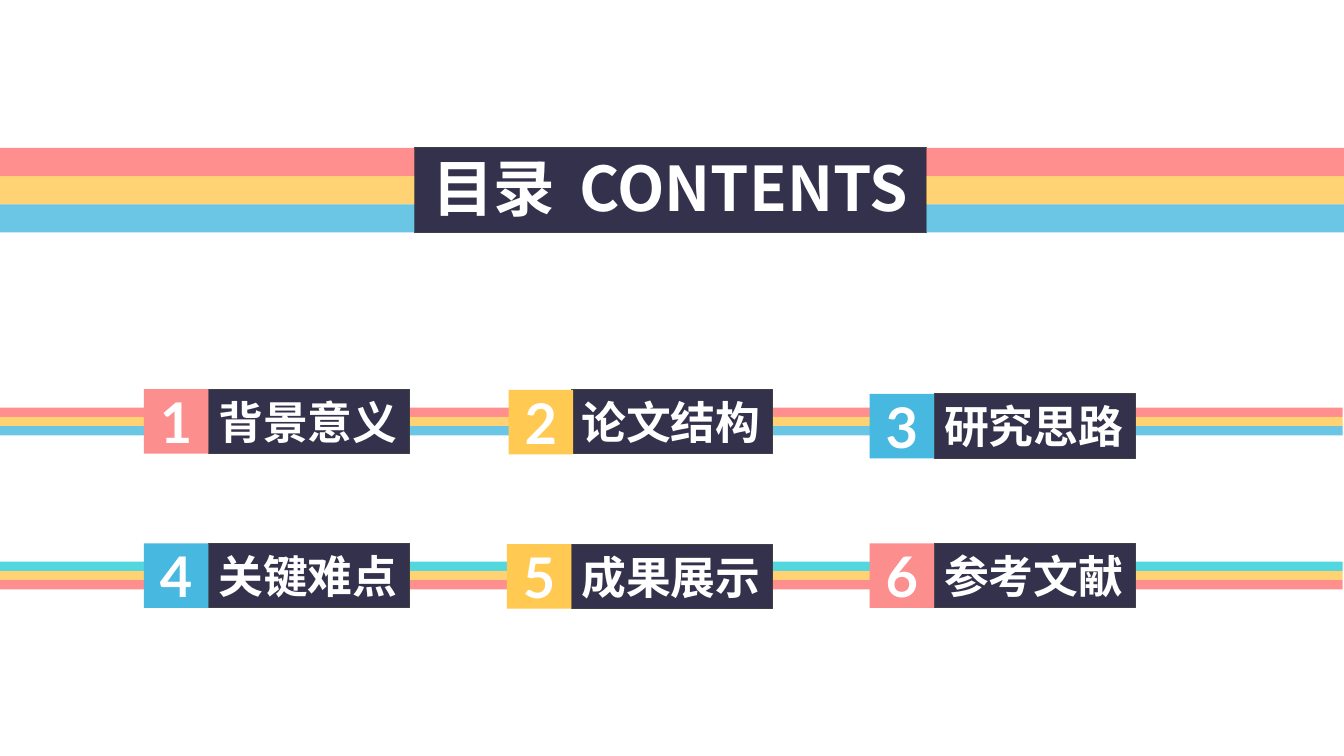
from lxml.etree import SubElement
from pptx import Presentation
from pptx.dml.color import RGBColor
from pptx.enum.shapes import MSO_SHAPE
from pptx.enum.text import MSO_ANCHOR, MSO_AUTO_SIZE, PP_ALIGN
from pptx.oxml.ns import qn
from pptx.util import Pt

RED, YELLOW, BLUE, TEAL = "FF7473", "FFC952", "47B8E0", "27CED7"
PINK, NAVY, GREY, WHITE = "FC8E8E", "34314C", "404040", "FFFFFF"
CHINESE = {"name": "Noto Sans CJK SC", "bold": True}
TITLE = {**CHINESE, "size": Pt(44)}
LABEL = {**CHINESE, "size": Pt(32)}
NUMBER = {"name": "Lato", "bold": True, "size": Pt(40)}
TITLE_BOX = (296, 105.6, 365.8, 60.5)
SIDE = 46.1
LABEL_WIDTH = 143.7
COLUMN_STEP = 259.2

ROWS = [
    (278, [("1", "背景意义", PINK, 0, 0, 0),
           ("2", "论文结构", YELLOW, 1.4, 0.6, 0),
           ("3", "研究思路", BLUE, 0, 3.3, 3.3)]),
    (388.1, [("4", "关键难点", BLUE, 0, 0, 0),
             ("5", "成果展示", YELLOW, 0, 0.6, 0.6),
             ("6", "参考文献", PINK, 0, 0, 0)]),
]


def colour(value):
    return RGBColor.from_string(value)


def set_all(target, values):
    for name, value in values.items():
        setattr(target, name, value)


def paint(shape, fill, line=None):
    shape.fill.solid()
    shape.fill.fore_color.rgb = colour(fill)
    if line:
        shape.line.color.rgb = colour(line)
        shape.line.width = Pt(0.75)
    else:
        shape.line.fill.background()


def add_rectangle(shapes, box, fill, line=None):
    shape = shapes.add_shape(MSO_SHAPE.RECTANGLE, *map(Pt, box))
    shape.shadow.inherit = False
    paint(shape, fill, line)
    return shape


def write(shape, texts, style, alignment):
    frame = shape.text_frame
    set_all(frame, {"word_wrap": False, "auto_size": MSO_AUTO_SIZE.NONE,
                    "vertical_anchor": MSO_ANCHOR.MIDDLE})
    para = frame.paragraphs[0]
    para.alignment = alignment
    for text in texts:
        span = para.add_run()
        span.text = text
        set_all(span.font, style)
        span.font.color.rgb = colour(WHITE)
        if style["name"] == CHINESE["name"]:
            SubElement(span.font._element, qn("a:ea"), typeface=style["name"])
    return para


def add_stripes(page, box, fills):
    left, top, width, height = box
    thickness = height / len(fills)
    group = page.shapes.add_group_shape()
    for index, fill in enumerate(fills):
        stripe_box = (left, top + index * thickness, width, thickness)
        stripe = add_rectangle(group.shapes, stripe_box, fill)
        tint = stripe.fill._xPr.find(".//" + qn("a:srgbClr"))
        SubElement(tint, qn("a:alpha"), val="80000")


def add_title(page, box):
    left, top, width, height = box
    right = left + width
    for start, end in [(0, left), (right, 960)]:
        add_stripes(page, (start, top, end - start, height), [RED, YELLOW, BLUE])
    title = page.shapes.title
    places = zip(("left", "top", "width", "height"), map(Pt, box))
    set_all(title, dict(places))
    paint(title, NAVY, GREY)
    para = write(title, ["目录", " ", "CONTENTS"], TITLE, PP_ALIGN.CENTER)
    set_all(title.text_frame, {"margin_left": 0, "margin_right": 0,
                               "margin_top": 0, "margin_bottom": Pt(4)})
    para.runs[1].font._element.set("spc", "700")


def add_entry(page, box, entry):
    left, top, width, height = box
    number, text, fill, shift, badge_drop, label_drop = entry
    label_box = (left + SIDE, top + label_drop, width - SIDE, height)
    label = add_rectangle(page.shapes, label_box, NAVY, GREY)
    write(label, [text], LABEL, PP_ALIGN.LEFT)
    badge_box = (left + shift, top + badge_drop, SIDE, SIDE)
    badge = add_rectangle(page.shapes, badge_box, fill)
    write(badge, [number], NUMBER, PP_ALIGN.CENTER)


def add_row(page, top, entries):
    for column, entry in enumerate(entries):
        left = 102.8 + column * COLUMN_STEP
        add_entry(page, (left, top, SIDE + LABEL_WIDTH, SIDE), entry)


def main():
    deck = Presentation()
    set_all(deck, {"slide_width": Pt(960), "slide_height": Pt(540)})
    page = deck.slides.add_slide(deck.slide_layouts.get_by_name("Title Only"))
    add_title(page, TITLE_BOX)
    add_stripes(page, (0, 291.2, 959, 19.8), [RED, YELLOW, BLUE])
    add_stripes(page, (0, 401.2, 959, 19.8), [TEAL, YELLOW, RED])
    for top, entries in ROWS:
        add_row(page, top, entries)
    deck.save("out.pptx")


if __name__ == "__main__":
    main()
